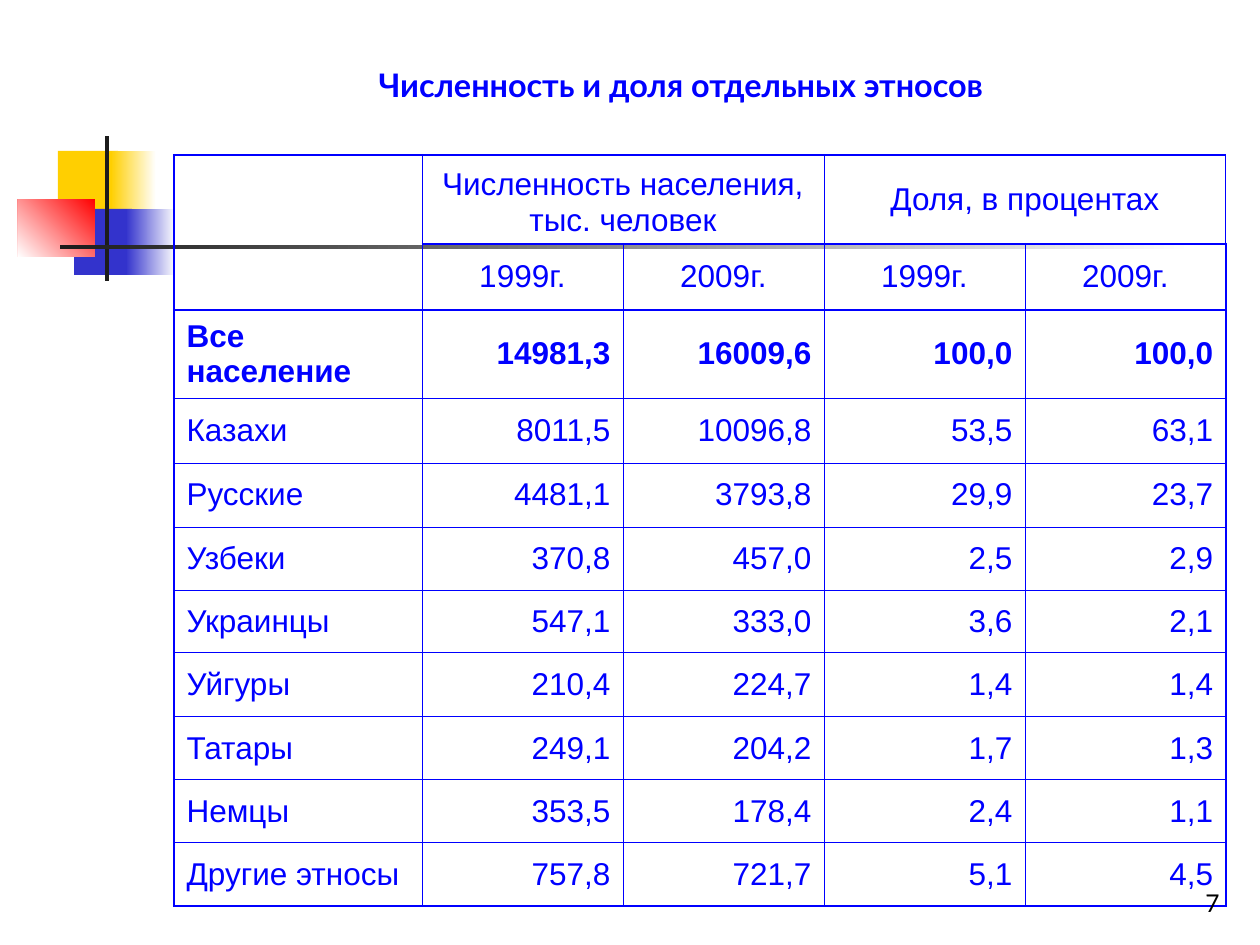
"""Builds a slide with a table of ethnic group numbers and shares."""
from lxml import etree
from pptx import Presentation
from pptx import util as u
from pptx.dml.color import RGBColor
from pptx.enum import shapes, text
from pptx.oxml.ns import qn

PX = 914400 // 126
COLORS = {"white": "FFFFFF", "yellow": "FFCF01", "indigo": "3333CC",
          "red": "FF0000", "dark": "1C1C1C", "blue": "0000FF", "black": "000000"}
THICK, THIN = 1.47, 0.45


def rgb(name):
    return RGBColor.from_string(COLORS[name])


def style(p, size, font, color, align, bold=False):
    p.alignment = align
    p.font.size = u.Pt(size)
    p.font.name = font
    p.font.bold = bold
    p.font.color.rgb = rgb(color)


prs = Presentation()
prs.slide_width, prs.slide_height = u.Inches(10), u.Inches(7.5)
s = prs.slides.add_slide(prs.slide_layouts[5])
ALIGN = text.PP_ALIGN

decor = [
    (58, 151, 60, 66, ["yellow"], 0),
    (111, 151, 45, 66, ["white", "yellow"], 180),
    (74, 209, 58, 66, ["indigo"], 0),
    (126, 209, 50, 66, ["white", "indigo"], 180),
    (18, 199, 77, 58, ["red", "white"], 225),
    (105, 136, 4, 145, ["dark"], 0),
    (60, 245, 1134, 4, ["white", "dark"], 180),
]
for x, y, w, h, colors, angle in decor:
    sp = s.shapes.add_shape(shapes.MSO_SHAPE.RECTANGLE, x * PX, y * PX, w * PX, h * PX)
    sp.shadow.inherit = False
    sp.line.fill.background()
    if len(colors) == 1:
        sp.fill.solid()
        sp.fill.fore_color.rgb = rgb(colors[0])
    else:
        sp.fill.gradient()
        sp.fill.gradient_angle = angle
        for stop, color in zip(sp.fill.gradient_stops, colors):
            stop.color.rgb = rgb(color)

title = s.shapes.title
title.left, title.top, title.width, title.height = 164 * PX, 55 * PX, 1003 * PX, 59 * PX
tf = title.text_frame
tf.text = "Численность и доля отдельных этносов"
tf.auto_size = text.MSO_AUTO_SIZE.NONE
tf.vertical_anchor = text.MSO_ANCHOR.MIDDLE
tf.margin_left = 43 * PX
style(tf.paragraphs[0], 18.5, "Lato", "blue", ALIGN.CENTER, True)

rows = [
    ["", "Численность населения,\vтыс. человек", "", "Доля, в процентах", ""],
    ["", "1999г.", "2009г.", "1999г.", "2009г."],
    ["Все население", "14981,3", "16009,6", "100,0", "100,0"],
    ["Казахи", "8011,5", "10096,8", "53,5", "63,1"],
    ["Русские", "4481,1", "3793,8", "29,9", "23,7"],
    ["Узбеки", "370,8", "457,0", "2,5", "2,9"],
    ["Украинцы", "547,1", "333,0", "3,6", "2,1"],
    ["Уйгуры", "210,4", "224,7", "1,4", "1,4"],
    ["Татары", "249,1", "204,2", "1,7", "1,3"],
    ["Немцы", "353,5", "178,4", "2,4", "1,1"],
    ["Другие этносы", "757,8", "721,7", "5,1", "4,5"],
]
widths = [248] + [201] * 4
heights = [89, 66, 88, 65, 64, 63, 63, 64, 63, 63, 63]
frame = s.shapes.add_table(len(rows), len(widths), 174 * PX, 155 * PX,
                           sum(widths) * PX, sum(heights) * PX)
table = frame.table
table.first_row = table.horz_banding = False
for col, w in zip(table.columns, widths):
    col.width = w * PX
for row, h in zip(table.rows, heights):
    row.height = h * PX

last_row, last_col = len(rows) - 1, len(widths) - 1
for i, row in enumerate(rows):
    for j, value in enumerate(row):
        cell = table.cell(i, j)
        cell.fill.background()
        cell.vertical_anchor = text.MSO_ANCHOR.MIDDLE
        cell.text_frame.text = value
        p = cell.text_frame.paragraphs[0]
        p.space_before = u.Pt(4.5)
        align = ALIGN.CENTER if i < 2 else ALIGN.RIGHT if j else ALIGN.LEFT
        style(p, 18, "Arial", "blue", align, i == 2)
        thick_sides = {"lnL": j == 0, "lnR": j == last_col,
                       "lnT": i <= 2, "lnB": i < 2 or i == last_row}
        tcPr = cell._tc.get_or_add_tcPr()
        for n, (side, thick) in enumerate(thick_sides.items()):
            ln = etree.Element(qn("a:" + side), w=str(u.Pt(THICK if thick else THIN)))
            fill = etree.SubElement(ln, qn("a:solidFill"))
            etree.SubElement(fill, qn("a:srgbClr"), val=COLORS["blue"])
            tcPr.insert(n, ln)
table.cell(0, 1).vertical_anchor = text.MSO_ANCHOR.BOTTOM
for first, last in [((0, 0), (1, 0)), ((0, 1), (0, 2)), ((0, 3), (0, 4))]:
    table.cell(*first).merge(table.cell(*last))

number = s.shapes.add_textbox(970 * PX, 861 * PX, 262 * PX, 63 * PX)
tf = number.text_frame
tf.word_wrap = True
tf.vertical_anchor = text.MSO_ANCHOR.BOTTOM
tf.text = "7"
style(tf.paragraphs[0], 14, "Lato", "black", ALIGN.RIGHT)

prs.save("out.pptx")
